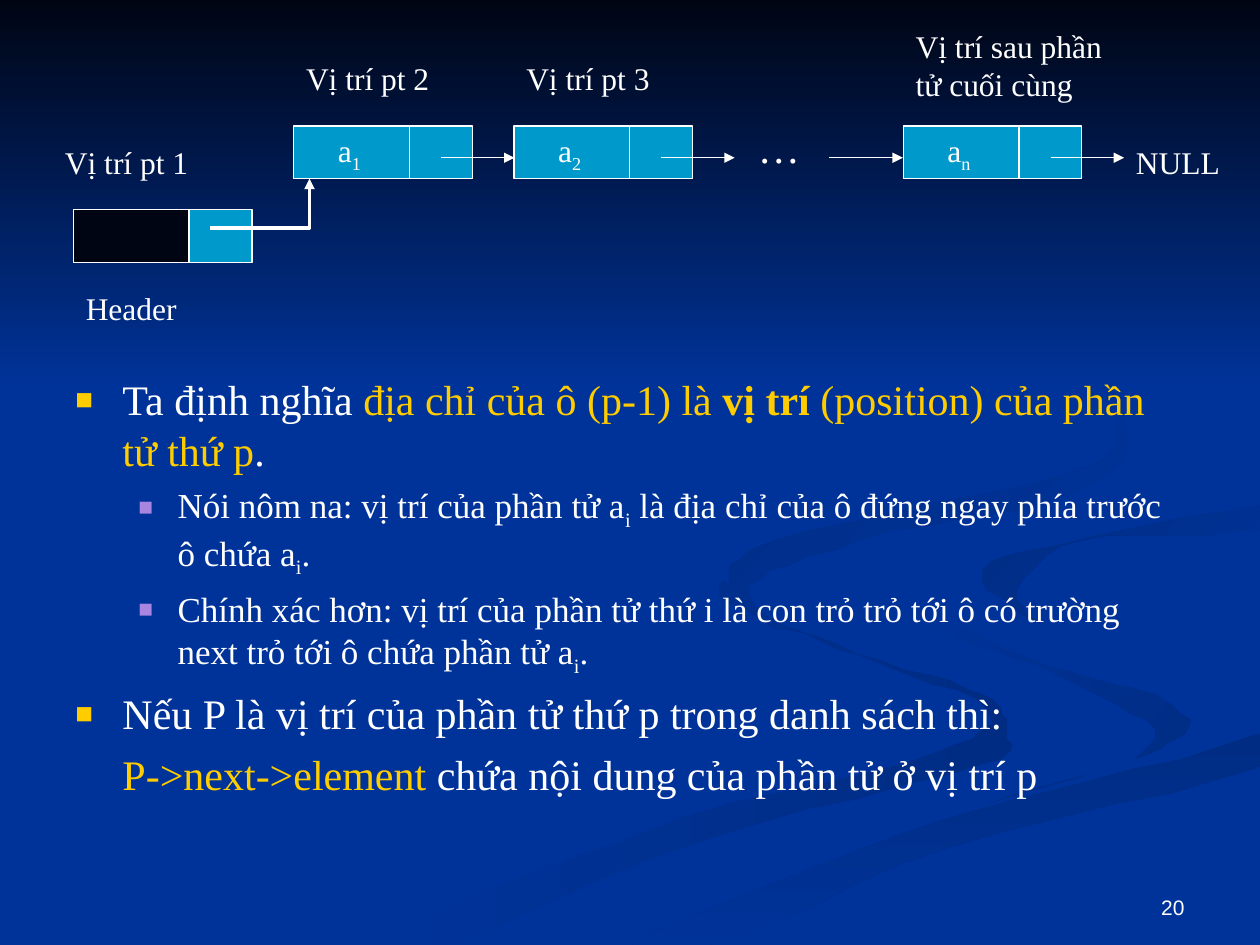
from dataclasses import dataclass

from lxml import etree
from pptx import Presentation
from pptx import util as u
from pptx.dml import color
from pptx.enum import shapes, text
from pptx.oxml import ns

Cm, Pt = u.Cm, u.Pt


@dataclass(frozen=True)
class Theme:
    blue: str = "003399"
    dusk: str = "002C84"
    night: str = "000514"
    cell: str = "0099CC"
    white: str = "FFFFFF"
    gold: str = "FFCC00"
    lilac: str = "A886E0"
    serif: str = "Times New Roman"
    sans: str = "Arial"
    big: int = 24
    mid: int = 20
    small: int = 18
    tiny: int = 12


T = Theme()

# Ribbon corners in millimetres, rounded off when drawn: first fill, last fill, angle
RIBBONS = [
    (T.blue, T.dusk, 0, [
        (198, 140), (173, 132), (151, 123), (146, 117), (148, 122), (173, 132),
        (199, 143), (188, 152), (137, 165), (76, 190), (92, 190), (143, 169),
        (198, 154), (203, 148)]),
    (T.blue, T.dusk, 45, [
        (240, 145), (221, 135), (189, 125), (184, 118), (189, 127), (213, 136),
        (233, 147), (227, 154), (239, 148)]),
    (T.dusk, T.blue, 90, [
        (128, 190), (145, 190), (191, 171), (253, 155), (253, 148), (194, 164)]),
    (T.blue, T.blue, 0, [
        (184, 118), (206, 132), (239, 143), (226, 154), (157, 174), (121, 190),
        (194, 164), (253, 148), (253, 137), (204, 123), (209, 110), (253, 102),
        (253, 98), (192, 110)]),
    (T.dusk, T.blue, 45, [
        (198, 117), (210, 126), (205, 119), (218, 109), (253, 107), (253, 102),
        (207, 111)]),
    (T.dusk, T.blue, 45, [
        (173, 109), (217, 99), (227, 86), (214, 69), (194, 59), (221, 76),
        (225, 88), (214, 96), (156, 109), (147, 119), (158, 127), (151, 118)]),
]


def rgb(code):
    return color.RGBColor.from_string(code)


def bezier(a, b, c, d, steps=6):
    for i in range(1, steps + 1):
        t = i / steps
        s = 1 - t
        yield tuple(s**3 * p + 3 * s * s * t * q + 3 * s * t * t * r + t**3 * e
                    for p, q, r, e in zip(a, b, c, d))


def round_off(points):
    """Closed smooth outline through all points."""
    size = len(points)
    for i, here in enumerate(points):
        back, after, far = points[i - 1], points[(i + 1) % size], points[(i + 2) % size]
        out = [h + (n - p) / 6 for h, n, p in zip(here, after, back)]
        into = [n - (f - h) / 6 for n, f, h in zip(after, far, here)]
        yield from bezier(here, out, into, after)


def outline(slide, x, y, start, points, unit, close=True):
    pen = slide.shapes.build_freeform(*start, scale=unit)
    pen.add_line_segments(points, close=close)
    shape = pen.convert_to_shape(Cm(x), Cm(y))
    shape.shadow.inherit = False
    return shape


def blend(shape, first, last, angle):
    """Fill without outline, running clockwise at the angle."""
    shape.shadow.inherit = False
    shape.line.fill.background()
    shape.fill.gradient()
    shape.fill.gradient_angle = (360 - angle) % 360
    for stop, code in zip(shape.fill.gradient_stops, (first, last)):
        stop.color.rgb = rgb(code)


def put_runs(para, parts, size, font=T.serif):
    """Parts are (words, style) pairs; style is plain, gold, bold or sub."""
    for words, style in parts:
        run = para.add_run()
        run.text = words
        run.font.name, run.font.size = font, Pt(size)
        gold = style in ("gold", "bold")
        run.font.color.rgb = rgb(T.gold if gold else T.white)
        if style == "bold":
            run.font.bold = True
        if style == "sub":
            run._r.get_or_add_rPr().set("baseline", "-25000")


def label(slide, box, words, size=T.small, font=T.serif):
    frame = slide.shapes.add_textbox(*map(Cm, box)).text_frame
    frame.word_wrap = True
    put_runs(frame.paragraphs[0], [(words, "plain")], size, font)
    return frame


def stroke(line, width, head=False):
    line.color.rgb, line.width = rgb(T.white), Pt(width)
    if head:
        etree.SubElement(line._get_or_add_ln(), ns.qn("a:tailEnd"), type="triangle")


def link(slide, x, y, dx, dy, head=False):
    line = slide.shapes.add_connector(
        shapes.MSO_CONNECTOR.STRAIGHT, Cm(x), Cm(y), Cm(x + dx), Cm(y + dy))
    stroke(line.line, 0.75, head)
    etree.SubElement(line._element.spPr, ns.qn("a:effectLst"))


def block(slide, box, fill):
    shape = slide.shapes.add_shape(shapes.MSO_SHAPE.RECTANGLE, *map(Cm, box))
    shape.shadow.inherit = False
    shape.fill.solid()
    shape.fill.fore_color.rgb = rgb(fill)
    stroke(shape.line, 0.75)
    return shape


def node(slide, box, split, sub=None):
    """List cell: value part up to the split, then the pointer part."""
    x, y, w, h = box
    shape = block(slide, box, T.cell)
    link(slide, x + split, y, 0, h)
    if sub is None:
        block(slide, (x, y, split, h), T.night)
        return
    frame = shape.text_frame
    frame.margin_left = Cm(0.89)
    frame.vertical_anchor = text.MSO_ANCHOR.MIDDLE
    frame.paragraphs[0].alignment = text.PP_ALIGN.LEFT
    put_runs(frame.paragraphs[0], [("a", "plain"), (sub, "sub")], T.small)


def hook(slide, x, y):
    """Curved arrow from the header's pointer up to the first cell."""
    start, bend, end = (0, 1.06), (1.9, 1.06), (2.33, 0)
    points = [*bezier(start, (0.77, 1.15), (1.51, 1.24), bend),
              *bezier(bend, (2.3, 0.88), (2.32, 0.45), end)]
    curve = outline(slide, x, y, start, points, Cm(1), False)
    curve.fill.background()
    stroke(curve.line, 2, True)


def backdrop(slide, box):
    slide.background.fill.solid()
    slide.background.fill.fore_color.rgb = rgb(T.blue)
    x, y, w, h = box
    for first, last, angle, points in RIBBONS:
        ribbon = outline(slide, x, y, points[0], round_off(points), Cm(0.1))
        blend(ribbon, first, last, angle)
    band = slide.shapes.add_shape(
        shapes.MSO_SHAPE.RECTANGLE, Cm(x), Cm(y), Cm(w), Cm(h * 0.41))
    blend(band, T.night, T.blue, 90)


def diagram(slide, box):
    x, y, _, _ = box
    wide, high, split, row = 3.6, 1.06, 2.33, y + 2.11
    cells = [(4.86, "1", "Vị trí pt 2"), (9.3, "2", "Vị trí pt 3"),
             (17.15, "n", "Vị trí sau phần tử cuối cùng")]
    for left, sub, words in cells:
        node(slide, (x + left, row, wide, high), split, sub)
        link(slide, x + left + 2.97, row + 0.64, 1.48, 0, True)
        last = sub == "n"
        label(slide, (x + left, y if last else y + 0.64, 4.66 if last else 4, 1), words)
    link(slide, x + 15.66, row + 0.64, 1.48, 0, True)
    label(slide, (x + 13.97, row - 0.21, 1.9, 1.27), "…", T.big)
    node(slide, (x + 0.42, y + 3.8, wide, high), split)
    hook(slide, x + 3.18, row + high)
    label(slide, (x + 0.42, y + 5.28, 2.96, 1), "Header")
    label(slide, (x + 21.59, row + 0.21, 2.54, 1), "NULL")
    label(slide, (x, row + 0.21, 4, 1), "Vị trí pt 1")


def bullet(para, left, hang, tint=None):
    props = para._p.get_or_add_pPr()
    props.set("marL", str(Cm(left)))
    props.set("indent", str(-Cm(hang)))
    if tint is None:
        etree.SubElement(props, ns.qn("a:buNone"))
        return
    paint = etree.SubElement(props, ns.qn("a:buClr"))
    etree.SubElement(paint, ns.qn("a:srgbClr"), val=tint)
    etree.SubElement(props, ns.qn("a:buSzPct"), val="70000")
    etree.SubElement(props, ns.qn("a:buFont"), typeface=T.sans)
    etree.SubElement(props, ns.qn("a:buChar"), char="■")


def notes(slide, box):
    main, inner, bare = (0.95, 0.95, T.gold), (2.06, 0.79, T.lilac), (0.95, 0)
    items = [
        (main, [("Ta định nghĩa ", "plain"), ("địa chỉ của ô (p-1) là ", "gold"),
                ("vị trí", "bold"), (" (position) của phần tử thứ p", "gold"),
                (".", "plain")]),
        (inner, [("Nói nôm na: vị trí của phần tử a", "plain"), ("i", "sub"),
                 (" là địa chỉ của ô đứng ngay phía trước ô chứa a", "plain"),
                 ("i", "sub"), (".", "plain")]),
        (inner, [("Chính xác hơn: vị trí của phần tử thứ i là con trỏ trỏ tới ô "
                  "có trường next trỏ tới ô chứa phần tử a", "plain"),
                 ("i", "sub"), (".", "plain")]),
        (main, [("Nếu P là vị trí của phần tử thứ p trong danh sách thì:", "plain")]),
        (bare, [("P->next->element", "gold"),
                (" chứa nội dung của phần tử ở vị trí p", "plain")]),
    ]
    frame = slide.shapes.add_textbox(*map(Cm, box)).text_frame
    frame.word_wrap = True
    for i, (style, parts) in enumerate(items):
        para = frame.add_paragraph() if i else frame.paragraphs[0]
        deep = style is inner
        para.level = int(deep)
        bullet(para, *style)
        if i:
            para.space_before = Pt(5 if deep else 6)
        put_runs(para, parts, T.mid if deep else T.big)


def number(slide, box):
    frame = label(slide, box, "20", T.tiny, T.sans)
    frame.vertical_anchor = text.MSO_ANCHOR.BOTTOM
    frame.paragraphs[0].alignment = text.PP_ALIGN.RIGHT


def main():
    deck = Presentation()
    deck.slide_width, deck.slide_height = Cm(25.4), Cm(19.05)
    slide = deck.slides.add_slide(deck.slide_layouts[6])
    backdrop(slide, (0, 0, 25.4, 19.05))
    number(slide, (18.2, 17.36, 5.93, 1.31))
    notes(slide, (1.27, 7.41, 22.44, 9.6))
    diagram(slide, (1.06, 0.43, 24.13, 6.3))
    deck.save("out.pptx")


if __name__ == "__main__":
    main()
